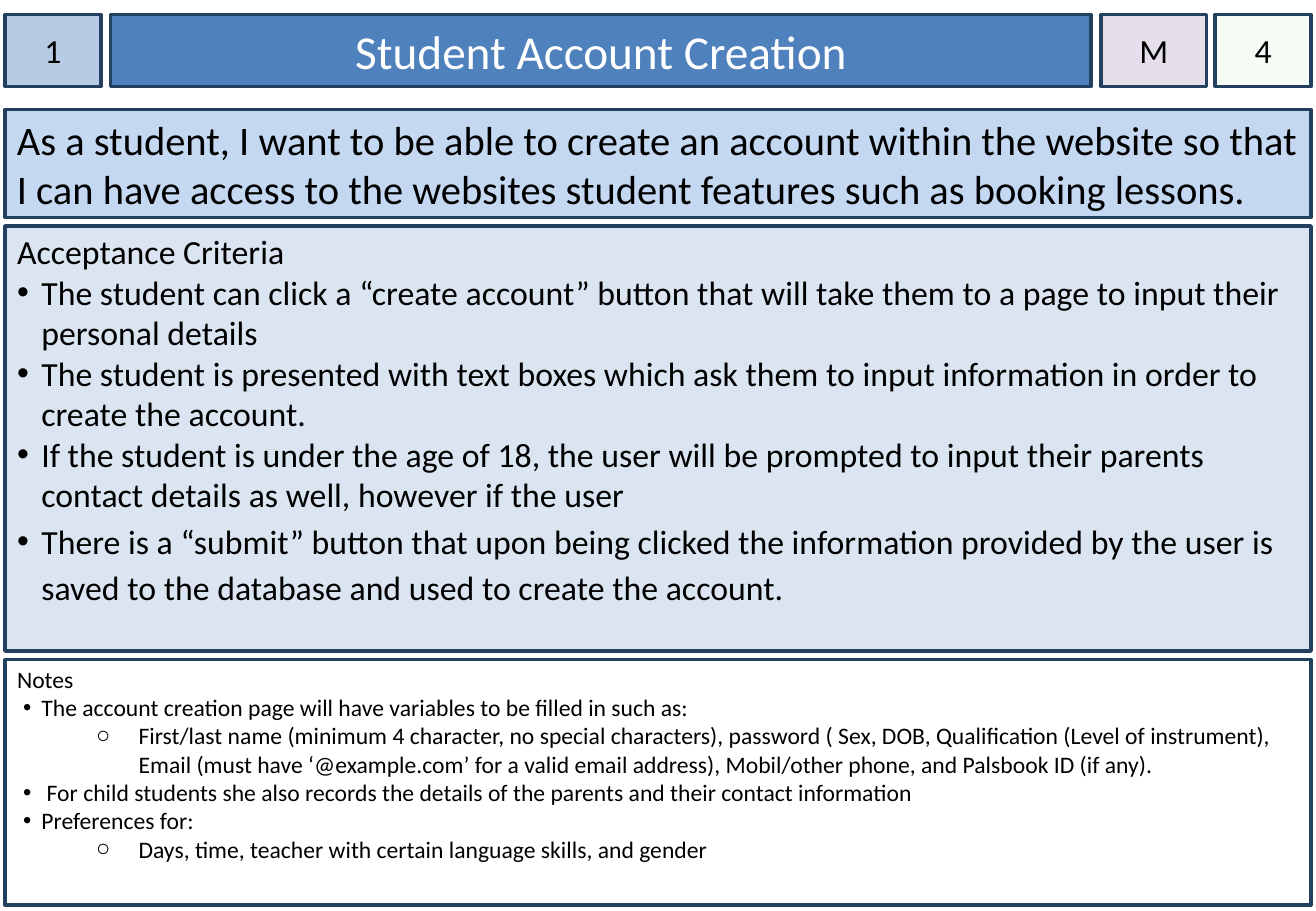
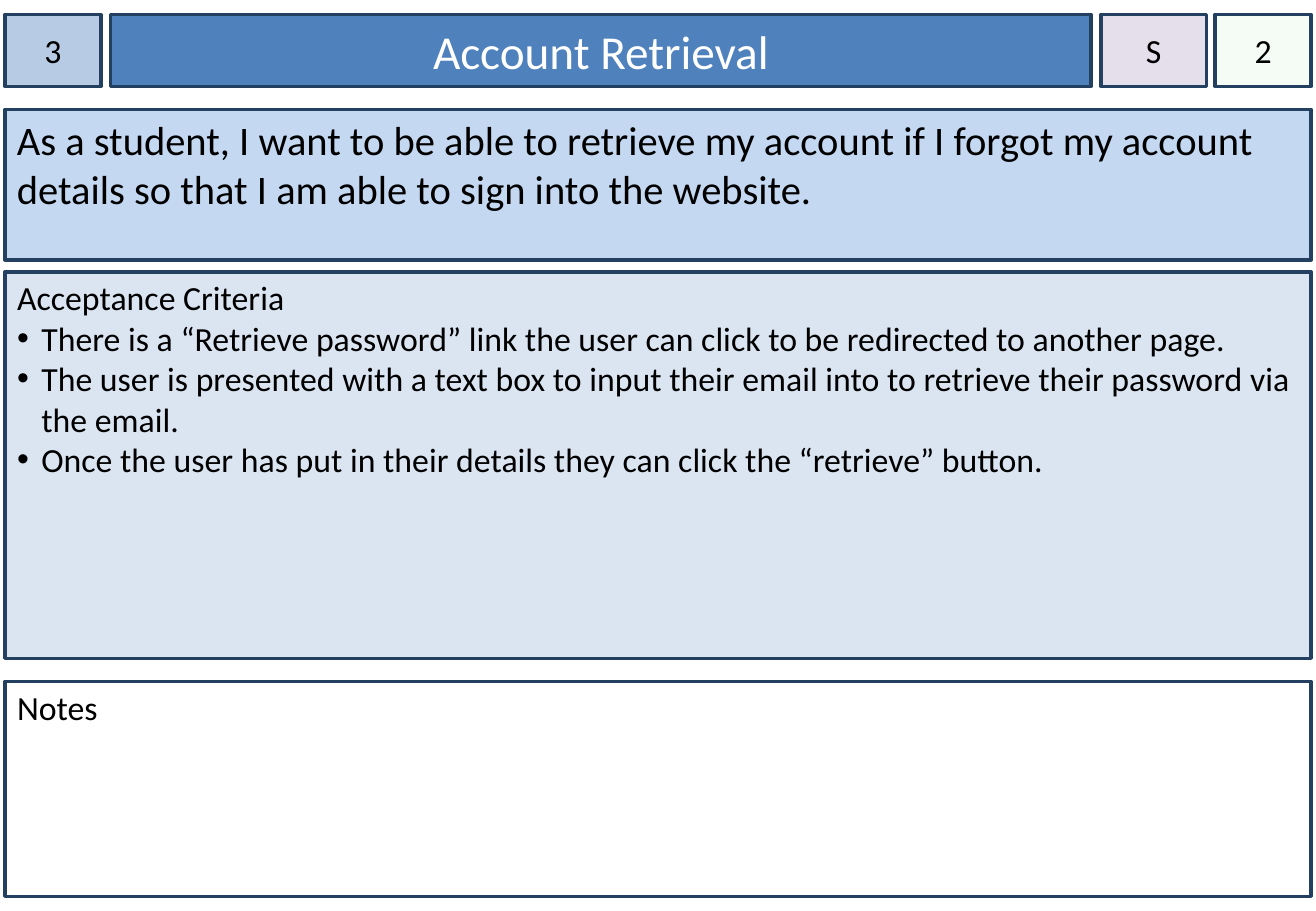
from dataclasses import dataclass

from lxml.etree import SubElement
from pptx import Presentation
from pptx.dml.color import RGBColor
from pptx.enum.shapes import MSO_SHAPE
from pptx.enum.text import MSO_ANCHOR as ANCHOR, MSO_AUTO_SIZE as FIT, PP_ALIGN as ALIGN
from pptx.oxml.ns import qn
from pptx.util import Inches, Pt

BLACK = RGBColor(0x00, 0x00, 0x00)
WHITE = RGBColor(0xFF, 0xFF, 0xFF)
NAVY = RGBColor(0x24, 0x40, 0x61)
TITLE_BLUE = RGBColor(0x4F, 0x81, 0xBD)
NUMBER_BLUE = RGBColor(0xB7, 0xCC, 0xE4)
STORY_BLUE = RGBColor(0xC5, 0xD8, 0xF1)
CRITERIA_BLUE = RGBColor(0xDA, 0xE5, 0xF1)
PRIORITY_LILAC = RGBColor(0xE5, 0xDF, 0xEC)
POINTS_GREEN = RGBColor(0xCC, 0xF0, 0xCD)

FONT = "Calibri"
LEFT, WIDTH = 0.04, 10.75
HEADER_TOP, HEADER_HEIGHT = 0.12, 0.59
STORY_TOP = 0.9
CRITERIA_BULLETS = [("•", 0.2, -0.2)]
REMARK_BULLETS = [("•", 0.2, -0.15), ("○", 1, -0.35)]


@dataclass
class Item:
    """A list entry with its level and line spacing."""
    text: str
    level: int = 0
    spacing: float = 1.0


@dataclass
class Card:
    """A user story with the top and height of its lower boxes."""
    number: str
    title: str
    priority: str
    points: str
    story: str
    story_height: float
    criteria: list
    criteria_place: tuple
    remarks: list
    remarks_place: tuple
    remarks_size: int


CARDS = [
    Card(
        "1", "Student Account Creation", "M", "4",
        "As a student, I want to be able to create an account within the website so that "
        "I can have access to the websites student features such as booking lessons.",
        0.89,
        [
            Item("The student can click a “create account” button that will take them "
                 "to a page to input their personal details"),
            Item("The student is presented with text boxes which ask them to input "
                 "information in order to create the account."),
            Item("If the student is under the age of 18, the user will be prompted to input "
                 "their parents contact details as well, however if the user"),
            Item("There is a “submit” button that upon being clicked the information provided "
                 "by the user is saved to the database and used to create the account.",
                 spacing=1.15),
        ],
        (1.86, 3.5),
        [
            Item("The account creation page will have variables to be filled in such as:"),
            Item("First/last name (minimum 4 character, no special characters), password "
                 "( Sex, DOB, Qualification (Level of instrument), Email (must have "
                 "‘@example.com’ for a valid email address), Mobil/other phone, and "
                 "Palsbook ID (if any).", level=1),
            Item(" For child students she also records the details of the parents and "
                 "their contact information"),
            Item("Preferences for:"),
            Item("Days, time, teacher with certain language skills, and gender", level=1),
        ],
        (5.43, 2.02), 14,
    ),
    Card(
        "3", "Account Retrieval", "S", "2",
        "As a student, I want to be able to retrieve my account if I forgot my account "
        "details so that I am able to sign into the website.",
        1.24,
        [
            Item("There is a “Retrieve password” link the user can click to be redirected "
                 "to another page."),
            Item("The user is presented with a text box to input their email into to "
                 "retrieve their password via the email."),
            Item("Once the user has put in their details they can click the “retrieve” button."),
        ],
        (2.24, 3.18),
        [],
        (5.61, 1.77), 20,
    ),
]


def style_box(box, left, top, width, height, fill, anchor=ANCHOR.TOP, side=0.1, inset_top=0.05):
    """Place a box and give it the card's fill, outline and insets."""
    for name, inches in dict(left=left, top=top, width=width, height=height).items():
        setattr(box, name, Inches(inches))
    box.fill.solid()
    box.fill.fore_color.rgb = fill
    box.line.color.rgb = NAVY
    box.line.width = Pt(2)
    settings = dict(
        word_wrap=True, auto_size=FIT.NONE, vertical_anchor=anchor,
        margin_left=Inches(side), margin_right=Inches(side),
        margin_top=Inches(inset_top), margin_bottom=Inches(0.05),
    )
    for name, value in settings.items():
        setattr(box.text_frame, name, value)


def set_bullet(paragraph, mark, margin, indent):
    """Give a paragraph a bullet mark, or none, and a hanging indent."""
    properties = paragraph._p.get_or_add_pPr()
    properties.set("marL", str(Inches(margin)))
    properties.set("indent", str(Inches(indent)))
    if mark:
        colour = SubElement(properties, qn("a:buClr"))
        SubElement(colour, qn("a:srgbClr"), val=str(BLACK))
        SubElement(properties, qn("a:buChar"), char=mark)
    else:
        SubElement(properties, qn("a:buNone"))


def write(paragraph, text, size, align=ALIGN.LEFT, colour=BLACK, spacing=1.0):
    """Fill a paragraph with formatted text."""
    paragraph.text = text
    settings = dict(alignment=align, line_spacing=spacing, space_before=Pt(0), space_after=Pt(0))
    for name, value in settings.items():
        setattr(paragraph, name, value)
    font = paragraph.runs[0].font
    font.name, font.size = FONT, Pt(size)
    font.color.rgb = colour


def add_rectangle(slide, *place, **style):
    """Add a shadowless rectangle and return it."""
    box = slide.shapes.add_shape(MSO_SHAPE.RECTANGLE, 0, 0, 0, 0)
    box.shadow.inherit = False
    style_box(box, *place, **style)
    return box


def add_chip(slide, text, left, width, fill):
    """Add a small centred header box."""
    chip = add_rectangle(slide, left, HEADER_TOP, width, HEADER_HEIGHT, fill,
                         anchor=ANCHOR.MIDDLE, side=0)
    write(chip.text_frame.paragraphs[0], text, 20, ALIGN.CENTER)
    return chip


def fill_list(box, place, fill, heading, items, bullets, size):
    """Turn a body placeholder into a headed list box."""
    top, height = place
    style_box(box, LEFT, top, WIDTH, height, fill, inset_top=0.04)
    first = box.text_frame.paragraphs[0]
    set_bullet(first, None, 0, 0)
    write(first, heading, size)
    for item in items:
        paragraph = box.text_frame.add_paragraph()
        paragraph.level = item.level
        set_bullet(paragraph, *bullets[item.level])
        write(paragraph, item.text, size, spacing=item.spacing)


def add_header(slide, card):
    """Build the row of number, title, priority and points."""
    title = slide.shapes.title
    style_box(title, 0.91, HEADER_TOP, 8.07, HEADER_HEIGHT, TITLE_BLUE, anchor=ANCHOR.MIDDLE)
    write(title.text_frame.paragraphs[0], card.title, 28, ALIGN.CENTER, WHITE)
    add_chip(slide, card.number, LEFT, 0.79, NUMBER_BLUE)
    add_chip(slide, card.priority, 9.06, 0.87, PRIORITY_LILAC)
    points = add_chip(slide, card.points, 10, 0.79, POINTS_GREEN)
    tint = points._element.spPr.find(qn("a:solidFill"))[0]
    SubElement(tint, qn("a:alpha"), val="20000")


def add_card(deck, card):
    """Add one user story slide."""
    slide = deck.slides.add_slide(deck.slide_layouts.get_by_name("Two Content"))
    add_header(slide, card)
    story = add_rectangle(slide, LEFT, STORY_TOP, WIDTH, card.story_height, STORY_BLUE)
    write(story.text_frame.paragraphs[0], card.story, 24)
    fill_list(slide.placeholders[1], card.criteria_place, CRITERIA_BLUE,
              "Acceptance Criteria", card.criteria, CRITERIA_BULLETS, 20)
    fill_list(slide.placeholders[2], card.remarks_place, WHITE,
              "Notes", card.remarks, REMARK_BULLETS, card.remarks_size)


def main():
    """Build and save the story cards."""
    deck = Presentation()
    deck.slide_width, deck.slide_height = Inches(10.83), Inches(7.5)
    for card in CARDS:
        add_card(deck, card)
    deck.save("out.pptx")


if __name__ == "__main__":
    main()
